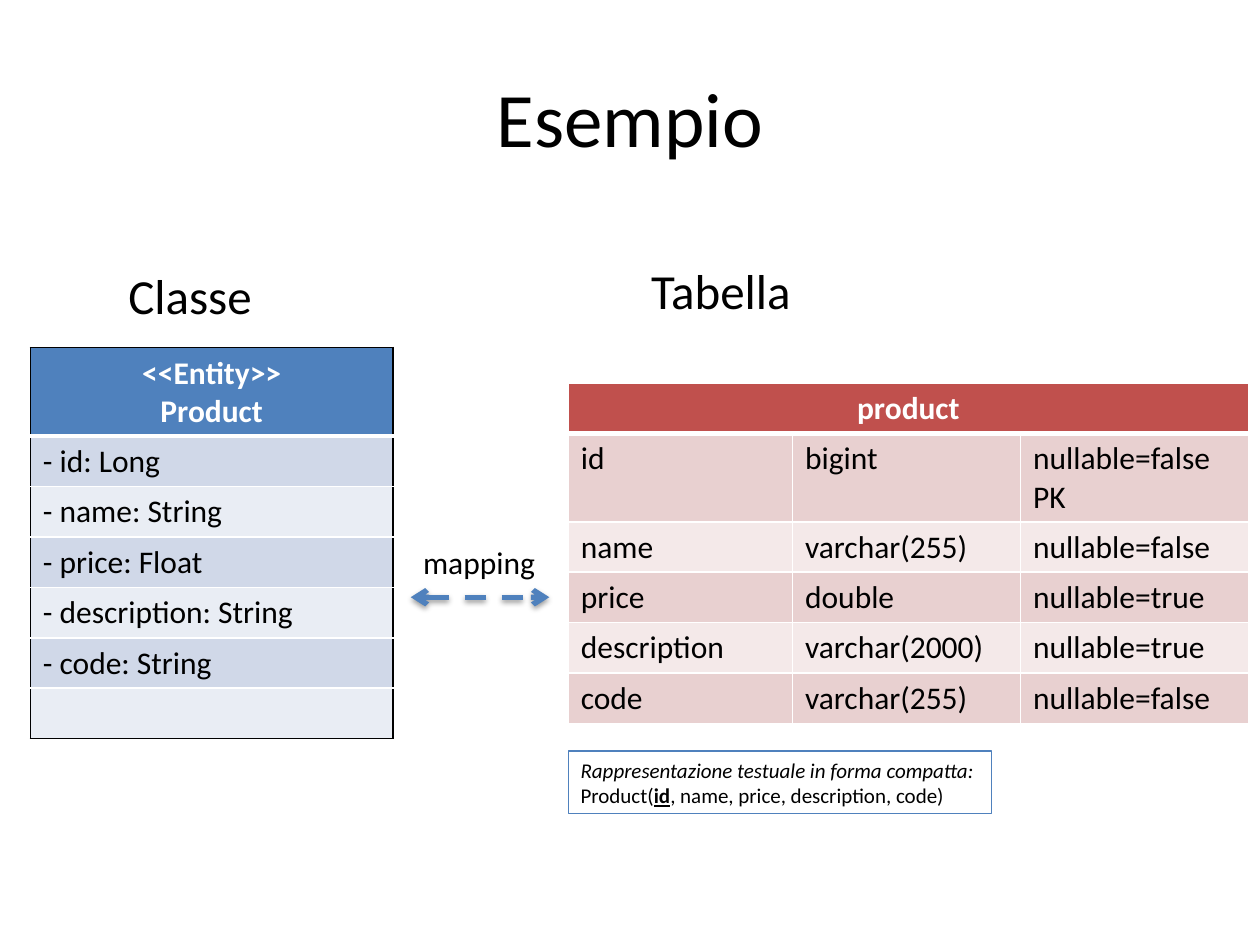
from lxml import etree
from pptx import Presentation
from pptx import util as u
from pptx.dml.color import RGBColor
from pptx.enum import dml, shapes, text
from pptx.oxml import ns, parse_xml

COLORS = {
    "black": "000000", "white": "FFFFFF", "blue": "4F81BD", "red": "C0504D",
    "blue_dark_band": "D0D8E8", "blue_light_band": "E9EDF4",
    "red_dark_band": "E8D0D0", "red_light_band": "F4E9E9",
}
FONT = "Calibri"
HEADER_HEIGHT, ROW_HEIGHT, TWO_LINE_HEIGHT = 0.4, 0.4, 0.7
CENTER = text.PP_ALIGN.CENTER


def rgb(name):
    return RGBColor.from_string(COLORS[name])


def write(frame, lines, size=18, color="black", bold=False, align=text.PP_ALIGN.LEFT):
    for index, line in enumerate(lines):
        paragraph = frame.paragraphs[0] if index == 0 else frame.add_paragraph()
        paragraph.alignment = align
        paragraph.font.size = u.Pt(size)
        runs = [(line, {})] if isinstance(line, str) else line
        for content, style in runs:
            run = paragraph.add_run()
            run.text = content
            font = run.font
            font.name, font.size, font.bold = FONT, u.Pt(size), bold
            font.color.rgb = rgb(color)
            for key, value in style.items():
                setattr(font, key, value)


def add_label(slide, box, lines, wrap=False, anchor=text.MSO_ANCHOR.TOP, **style):
    shape = slide.shapes.add_textbox(*map(u.Inches, box))
    shape.text_frame.word_wrap = wrap
    shape.text_frame.vertical_anchor = anchor
    write(shape.text_frame, lines, **style)
    return shape


def set_borders(cell, **borders):
    properties = cell._tc.get_or_add_tcPr()
    for side in "LRTB":
        color, width = borders.get(side, ("white", 1))
        line = etree.SubElement(properties, ns.qn(f"a:ln{side}"), w=str(u.Pt(width)))
        fill = etree.SubElement(line, ns.qn("a:solidFill"))
        etree.SubElement(fill, ns.qn("a:srgbClr"), val=COLORS[color])


def add_entity_table(slide, box, widths, heights, header, rows, accent, outline):
    left, top = box
    frame = slide.shapes.add_table(
        len(rows) + 1, len(widths), u.Inches(left), u.Inches(top),
        u.Inches(sum(widths)), u.Inches(sum(heights)))
    table = frame.table
    for column, width in zip(table.columns, widths):
        column.width = u.Inches(width)
    for row, height in zip(table.rows, heights):
        row.height = u.Inches(height)
    contents = [[header] + [[""]] * (len(widths) - 1)] + rows
    for row_index, cells in enumerate(contents):
        is_header = row_index == 0
        band = "dark" if row_index % 2 else "light"
        for column_index, lines in enumerate(cells):
            cell = table.cell(row_index, column_index)
            borders = {"L": (outline, 1), "R": (outline, 1)}
            if is_header:
                borders.update(T=(outline, 1), B=("white", 3))
            elif row_index == 1:
                borders["T"] = ("white", 3)
            if row_index == len(rows):
                borders["B"] = (outline, 1)
            set_borders(cell, **borders)
            cell.fill.solid()
            cell.fill.fore_color.rgb = rgb(accent if is_header else f"{accent}_{band}_band")
            if is_header:
                write(cell.text_frame, lines, color="white", bold=True, align=CENTER)
            else:
                write(cell.text_frame, lines)
    if len(widths) > 1:
        table.cell(0, 0).merge(table.cell(0, len(widths) - 1))


def add_class_region(slide, left, top):
    add_label(slide, (left + 0.68, top, 1.19, 0.57), ["Classe"], size=28)
    fields = ["- id: Long", "- name: String", "- price: Float",
              "- description: String", "- code: String", ""]
    add_entity_table(
        slide, (left, top + 0.7), [2.88],
        [TWO_LINE_HEIGHT] + [ROW_HEIGHT] * len(fields),
        ["<<Entity>>", "Product"], [[[field]] for field in fields], "blue", "black")


def add_database_region(slide, left, top):
    add_label(slide, (left + 0.56, top, 1.35, 0.57), ["Tabella"], size=28)
    columns = [
        ("id", "bigint", "nullable=false\nPK"),
        ("name", "varchar(255)", "nullable=false"),
        ("price", "double", "nullable=true"),
        ("description", "varchar(2000)", "nullable=true"),
        ("code", "varchar(255)", "nullable=false"),
    ]
    rows = [[value.split("\n") for value in column] for column in columns]
    heights = [HEADER_HEIGHT, TWO_LINE_HEIGHT] + [ROW_HEIGHT] * (len(rows) - 1)
    add_entity_table(slide, (left, top + 1.02), [1.78, 1.81, 1.81], heights,
                     ["product"], rows, "red", "white")
    note = add_label(slide, (left, top + 3.94, 3.36, 0.5), [
        [("Rappresentazione testuale in forma compatta:", {"italic": True})],
        [("Product(", {}), ("id", {"bold": True, "underline": True}),
         (", name, price, description, code)", {})],
    ], size=12)
    note.line.color.rgb = rgb("blue")
    note.line.width = u.Pt(0.75)


def add_mapping(slide, left, top, width):
    add_label(slide, (left, top, width, 0.4), ["mapping"])
    y = u.Inches(top + 0.48)
    arrow = slide.shapes.add_connector(
        shapes.MSO_CONNECTOR.STRAIGHT, u.Inches(left), y, u.Inches(left + width), y)
    arrow.line.color.rgb = rgb("blue")
    arrow.line.width = u.Pt(3)
    arrow.line.dash_style = dml.MSO_LINE.DASH
    line = arrow.line._get_or_add_ln()
    for end in ("headEnd", "tailEnd"):
        etree.SubElement(line, ns.qn(f"a:{end}"), type="arrow")
    arrow._element.spPr.append(parse_xml(
        f'<a:effectLst {ns.nsdecls("a")}>'
        '<a:outerShdw blurRad="40000" dist="20000" dir="5400000" rotWithShape="0">'
        f'<a:srgbClr val="{COLORS["black"]}"><a:alpha val="38000"/></a:srgbClr>'
        '</a:outerShdw></a:effectLst>'))


def main():
    presentation = Presentation()
    presentation.slide_width, presentation.slide_height = u.Inches(10), u.Inches(7.5)
    slide = presentation.slides.add_slide(presentation.slide_layouts[6])
    add_label(slide, (0.5, 0.3, 9, 1.25), ["Esempio"], wrap=True,
              anchor=text.MSO_ANCHOR.MIDDLE, size=44, align=CENTER)
    add_class_region(slide, 0.24, 2.06)
    add_database_region(slide, 4.51, 2.02)
    add_mapping(slide, 3.26, 4.26, 1.1)
    presentation.save("out.pptx")


if __name__ == "__main__":
    main()
